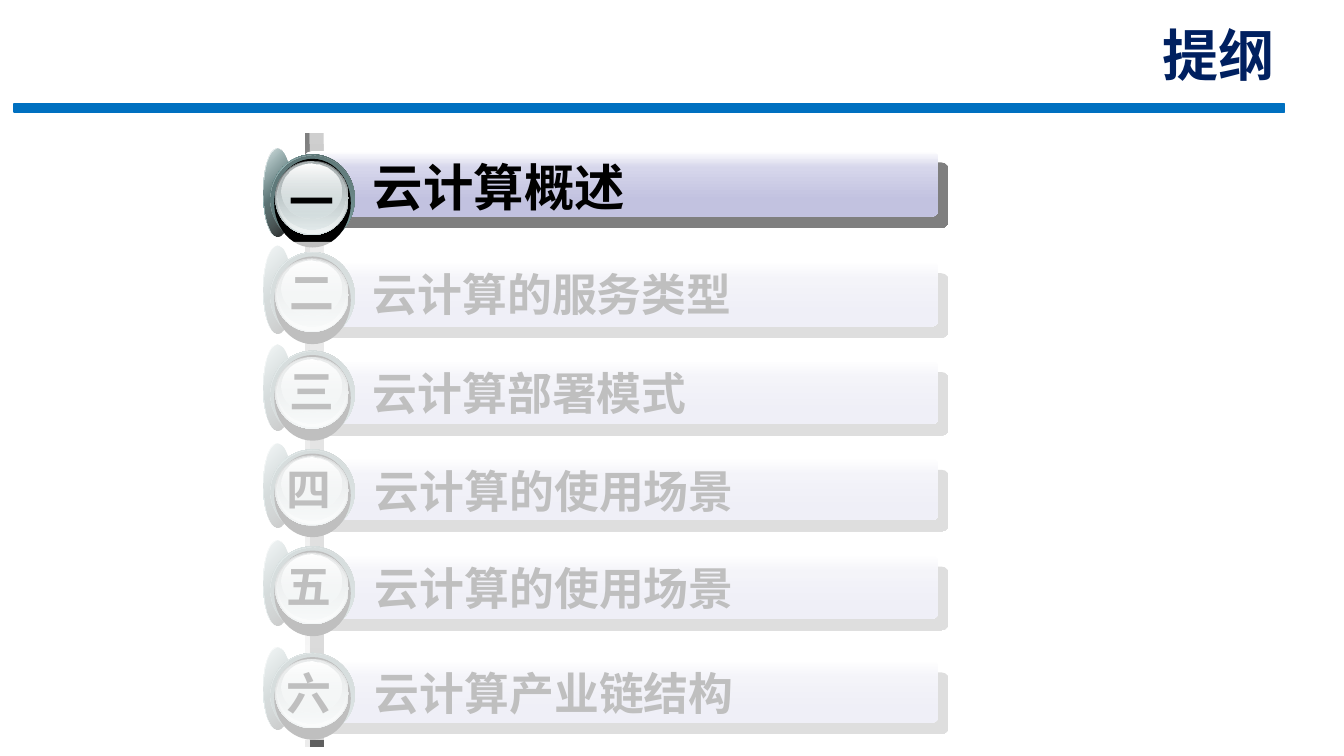
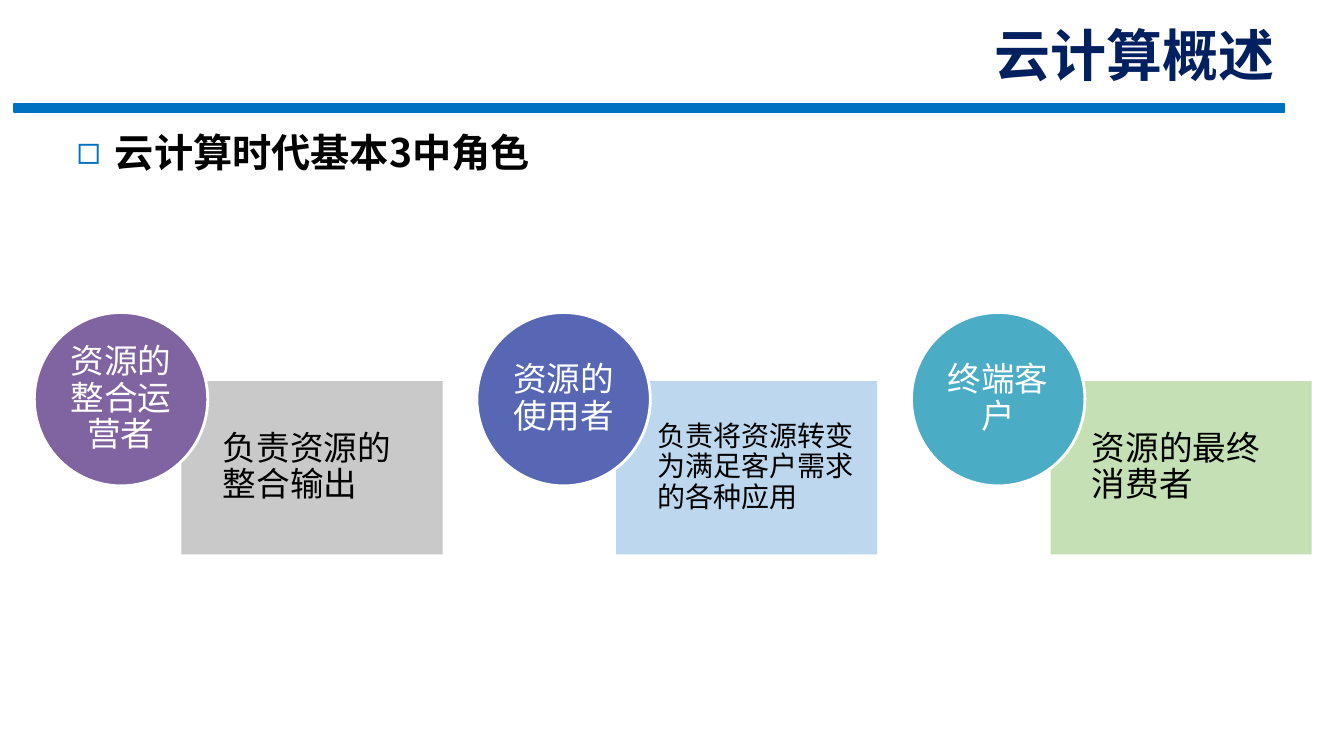
"""Build the cloud computing outline slide and the slide on its three roles."""
from collections import namedtuple

from lxml import etree
from pptx import Presentation
from pptx.dml.color import RGBColor
from pptx.enum.shapes import MSO_SHAPE
from pptx.enum.text import MSO_ANCHOR, MSO_AUTO_SIZE, PP_ALIGN
from pptx.oxml import parse_xml
from pptx.oxml.ns import nsdecls, qn
from pptx.util import Inches, Pt

RECTANGLE, ROUNDED, OVAL = MSO_SHAPE.RECTANGLE, MSO_SHAPE.ROUNDED_RECTANGLE, MSO_SHAPE.OVAL
TOP, MIDDLE, BOTTOM = MSO_ANCHOR.TOP, MSO_ANCHOR.MIDDLE, MSO_ANCHOR.BOTTOM
LEFT, CENTER, RIGHT = PP_ALIGN.LEFT, PP_ALIGN.CENTER, PP_ALIGN.RIGHT
NO_FIT = MSO_AUTO_SIZE.NONE

CJK_FONT, TITLE_FONT, CARD_FONT = "Noto Sans CJK SC", "Lato", "Arial"
TITLE_ONLY, TITLE_AND_CONTENT = 5, 1
DEFAULT_INSETS = (0.1, 0.05, 0.1, 0.05)

WHITE, BLACK = RGBColor(0xFF, 0xFF, 0xFF), RGBColor(0, 0, 0)
BLUE, NAVY = RGBColor(0x00, 0x70, 0xC0), RGBColor(0x00, 0x20, 0x60)
GRAY, PALE_GRAY = RGBColor(0x80, 0x80, 0x80), RGBColor(0xEC, 0xEC, 0xEC)
SILVER, DARK_GRAY = RGBColor(0xCF, 0xCF, 0xCF), RGBColor(0x5F, 0x5F, 0x5F)
LAVENDER, LILAC = RGBColor(0xD6, 0xD6, 0xEB), RGBColor(0xC2, 0xC2, 0xE0)
TEAL, DEEP_TEAL = RGBColor(0x83, 0xA6, 0xA7), RGBColor(0x47, 0x5A, 0x5A)
SHADE_TEAL, STEEL = RGBColor(0x53, 0x69, 0x6A), RGBColor(0x63, 0x68, 0x69)
MIST, FROST = RGBColor(0xD6, 0xE1, 0xE2), RGBColor(0xF1, 0xF5, 0xF5)
ASH = RGBColor(0xAA, 0xB2, 0xB3)
PURPLE, INDIGO = RGBColor(0x80, 0x64, 0xA2), RGBColor(0x57, 0x67, 0xB4)
CYAN = RGBColor(0x4B, 0xAC, 0xC6)
CARD_GRAY, CARD_BLUE = RGBColor(0xC9, 0xC9, 0xC9), RGBColor(0xBD, 0xD7, 0xEE)
CARD_GREEN = RGBColor(0xC5, 0xE0, 0xB4)

Gradient = namedtuple("Gradient", "angle stops")
Row = namedtuple("Row", "numeral text size bar_top bar_height disc_top disc_height "
                        "numeral_top bar_left text_left numeral_left")
Role = namedtuple("Role", "name duty size inset circle_left circle_color card_color")

OUTLINE_TITLE = "提纲"
FIRST_HALF, SECOND_HALF = (3.02, 3.6, 2.77), (2.92, 3.62, 2.74)
OUTLINE = [
    Row("一", "云计算概述", 36, 1.5, 0.65, 1.47, 0.88, 1.67, *FIRST_HALF),
    Row("二", "云计算的服务类型", 32, 2.6, 0.64, 2.44, 0.87, 2.58, *FIRST_HALF),
    Row("三", "云计算部署模式", 32, 3.58, 0.63, 3.42, 0.85, 3.56, *FIRST_HALF),
    Row("四", "云计算的使用场景", 32, 4.55, 0.61, 4.4, 0.83, 4.53, *SECOND_HALF),
    Row("五", "云计算的使用场景", 32, 5.51, 0.63, 5.36, 0.85, 5.49, *SECOND_HALF),
    Row("六", "云计算产业链结构", 32, 6.56, 0.61, 6.42, 0.82, 6.55, *SECOND_HALF),
]

ROLES_TITLE = "云计算概述"
ROLES_LEAD = "云计算时代基本3中角色"
ROLES = [
    Role("资源的整合运营者", "负责资源的整合输出", 24, 0.19, 0.34, PURPLE, CARD_GRAY),
    Role("资源的使用者", "负责将资源转变为满足客户需求的各种应用", 20, 0.16, 4.73, INDIGO, CARD_BLUE),
    Role("终端客户", "资源的最终消费者", 24, 0.19, 9.04, CYAN, CARD_GREEN),
]
CARD_LEFT, CARD_PITCH, CARD_TOP, CARD_WIDTH = 1.8, 4.31, 3.78, 2.59
CIRCLE_TOP, CIRCLE_SIZE = 3.1, 1.72

BAR_FILL = Gradient(90, [(0, WHITE), (25, LAVENDER), (75, LILAC)])
RAILS = [
    (3.02, 0.05, Gradient(90, [(0, GRAY), (100, PALE_GRAY)])),
    (3.07, 0.14, Gradient(90, [(0, SILVER), (100, DARK_GRAY)])),
]
DISC_LAYERS = [
    (2.61, 0.28, 0, 1, Gradient(45, [(0, WHITE), (50, TEAL), (100, WHITE)])),
    (2.61, 0.28, 0, 1, Gradient(45, [(0, TEAL, 32), (100, BLACK, 90)])),
    (2.68, 0.84, 0.07, 1, Gradient(315, [(0, DEEP_TEAL), (50, TEAL), (100, DEEP_TEAL)])),
    (2.68, 0.84, 0.08, 1, Gradient(45, [(0, SHADE_TEAL), (100, TEAL, 0)])),
    (2.72, 0.76, 0.12, 1, BLACK),
    (2.73, 0.73, 0.14, 0.84, Gradient(90, [(0, STEEL), (100, MIST)])),
    (2.74, 0.71, 0.14, 0.82, Gradient(90, [(0, MIST, 0), (100, FROST)])),
    (2.75, 0.68, 0.15, 0.77, Gradient(90, [(0, ASH), (100, MIST, 48)])),
    (2.79, 0.6, 0.17, 0.62, Gradient(90, [(0, WHITE), (100, MIST, 38)])),
]


def place(shape, left, top, width, height):
    shape.left, shape.top = Inches(left), Inches(top)
    shape.width, shape.height = Inches(width), Inches(height)


def set_alpha(color_element, percent):
    etree.SubElement(color_element, qn("a:alpha"), val=str(percent * 1000))


def gradient_element(gradient):
    element = parse_xml(f'<a:gradFill {nsdecls("a")} rotWithShape="1"><a:gsLst/>'
                        f'<a:lin ang="{gradient.angle * 60000}" scaled="0"/></a:gradFill>')
    for position, color, *alpha in gradient.stops:
        stop = etree.SubElement(element[0], qn("a:gs"), pos=str(position * 1000))
        color_element = etree.SubElement(stop, qn("a:srgbClr"), val=str(color))
        if alpha:
            set_alpha(color_element, alpha[0])
    return element


def add_shape(shapes, kind, left, top, width, height, fill, line=None, line_width=1):
    shape = shapes.add_shape(kind, *map(Inches, (left, top, width, height)))
    shape.shadow.inherit = False
    if isinstance(fill, Gradient):
        shape.fill.background()
        properties = shape.element.spPr
        properties.replace(properties.find(qn("a:noFill")), gradient_element(fill))
    else:
        shape.fill.solid()
        shape.fill.fore_color.rgb = fill
    if line is None:
        shape.line.fill.background()
    else:
        shape.line.color.rgb = line
        shape.line.width = Pt(line_width)
    return shape


def write(shape, text, size=32, font=CJK_FONT, color=BLACK, bold=False, align=LEFT,
          anchor=TOP, insets=DEFAULT_INSETS, spacing=1, wrap=True):
    frame = shape.text_frame
    frame.word_wrap, frame.auto_size, frame.vertical_anchor = wrap, NO_FIT, anchor
    (frame.margin_left, frame.margin_top,
     frame.margin_right, frame.margin_bottom) = map(Inches, insets)
    paragraph = frame.paragraphs[0]
    paragraph.alignment, paragraph.line_spacing = align, spacing
    paragraph.space_before = Pt(0)
    run = paragraph.add_run()
    run.text = text
    run.font.size, run.font.name, run.font.bold = Pt(size), font, bold
    run.font.color.rgb = color
    east_asian = etree.Element(qn("a:ea"), typeface=CJK_FONT)
    run.font._element.find(qn("a:latin")).addnext(east_asian)
    return paragraph


def add_label(shapes, text, left, top, width, height, **text_format):
    box = shapes.add_textbox(*map(Inches, (left, top, width, height)))
    write(box, text, bold=True, **text_format)


def add_slide(presentation, layout, title):
    slide = presentation.slides.add_slide(presentation.slide_layouts[layout])
    write(slide.shapes.title, title, size=40, font=TITLE_FONT, color=NAVY, bold=True,
          align=RIGHT, anchor=BOTTOM)
    return slide


def style_master(presentation, slide):
    master = presentation.slide_master
    place(master.placeholders[0], 6.41, 0.34, 6.33, 0.58)
    band = add_shape(slide.shapes, RECTANGLE, 0.14, 1.03, 12.6, 0.08, BLUE, BLUE)
    master.shapes.element.append(band.element)


def add_bar_shadow(bar):
    effects = bar.element.spPr.find(qn("a:effectLst"))
    shadow = etree.SubElement(effects, qn("a:outerShdw"), blurRad="0", dist=str(Pt(10.6)),
                              dir=str(49 * 60000), algn="ctr", rotWithShape="0")
    set_alpha(etree.SubElement(shadow, qn("a:srgbClr"), val=str(BLACK)), 50)


def add_outline_row(slide, row):
    shapes = slide.shapes.add_group_shape().shapes
    bar = add_shape(shapes, ROUNDED, row.bar_left, row.bar_top, 9.31 - row.bar_left,
                    row.bar_height, BAR_FILL)
    bar.adjustments[0] = 0.11
    add_bar_shadow(bar)
    add_label(shapes, row.text, row.text_left, row.bar_top, 5.2, 0.64, size=row.size)
    for left, width, offset, share, fill in DISC_LAYERS:
        add_shape(shapes, OVAL, left, row.disc_top + offset * row.disc_height,
                  width, share * row.disc_height, fill)
    add_label(shapes, row.numeral, row.numeral_left, row.numeral_top, 0.64, 0.62, wrap=False)


def fill_outline_slide(slide):
    for left, width, fill in RAILS:
        add_shape(slide.shapes, RECTANGLE, left, 1.32, width, 6.09, fill)
    for row in OUTLINE:
        add_outline_row(slide, row)
    veil = add_shape(slide.shapes, RECTANGLE, 1.08, 2.4, 9.06, 4.94, WHITE)
    set_alpha(veil.element.spPr.find(qn("a:solidFill"))[0], 75)


def add_bullet(paragraph):
    properties = paragraph._p.get_or_add_pPr()
    properties.set("marL", str(Inches(0.38)))
    properties.set("indent", str(-Inches(0.38)))
    color = etree.SubElement(properties, qn("a:buClr"))
    etree.SubElement(color, qn("a:srgbClr"), val=str(BLUE))
    etree.SubElement(properties, qn("a:buChar"), char="◻")


def fill_roles_slide(slide):
    lead = slide.placeholders[1]
    place(lead, 0.66, 1.22, 4.72, 0.57)
    add_bullet(write(lead, ROLES_LEAD, size=28, bold=True))
    for index, role in enumerate(ROLES):
        shapes = slide.shapes.add_group_shape().shapes
        card = add_shape(shapes, RECTANGLE, CARD_LEFT + index * CARD_PITCH, CARD_TOP,
                         CARD_WIDTH, CIRCLE_SIZE, role.card_color)
        write(card, role.duty, size=role.size, font=CARD_FONT, anchor=MIDDLE, spacing=0.9,
              insets=(0.41, role.inset, role.inset, role.inset))
        circle = add_shape(shapes, OVAL, role.circle_left, CIRCLE_TOP, CIRCLE_SIZE,
                           CIRCLE_SIZE, role.circle_color, WHITE, 2)
        write(circle, role.name, size=24, font=CARD_FONT, color=WHITE, align=CENTER,
              anchor=MIDDLE, spacing=0.9, insets=(0, 0, 0, 0))


def main():
    presentation = Presentation()
    presentation.slide_width, presentation.slide_height = Inches(13.33), Inches(7.5)
    outline_slide = add_slide(presentation, TITLE_ONLY, OUTLINE_TITLE)
    style_master(presentation, outline_slide)
    fill_outline_slide(outline_slide)
    fill_roles_slide(add_slide(presentation, TITLE_AND_CONTENT, ROLES_TITLE))
    presentation.save("out.pptx")


if __name__ == "__main__":
    main()
